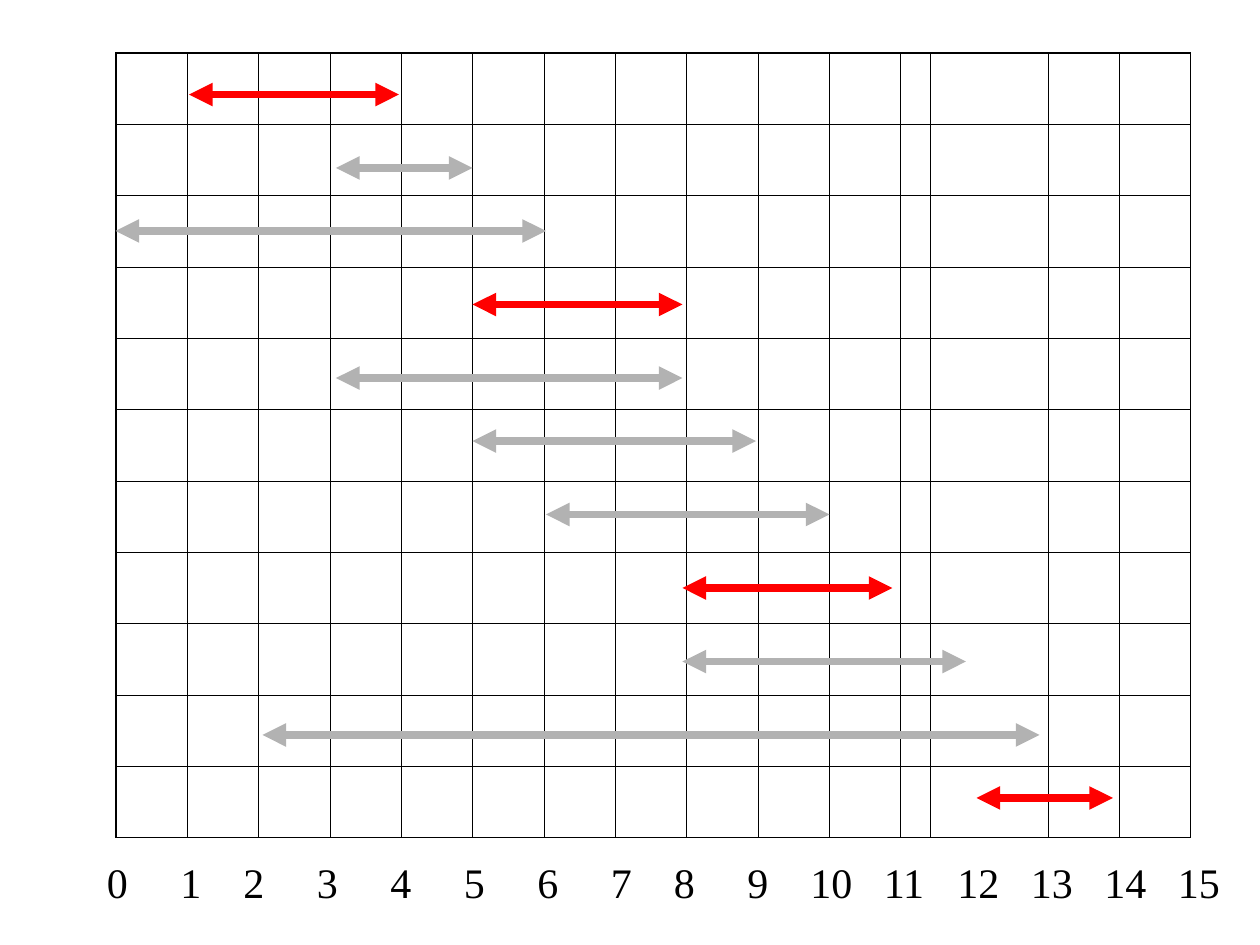
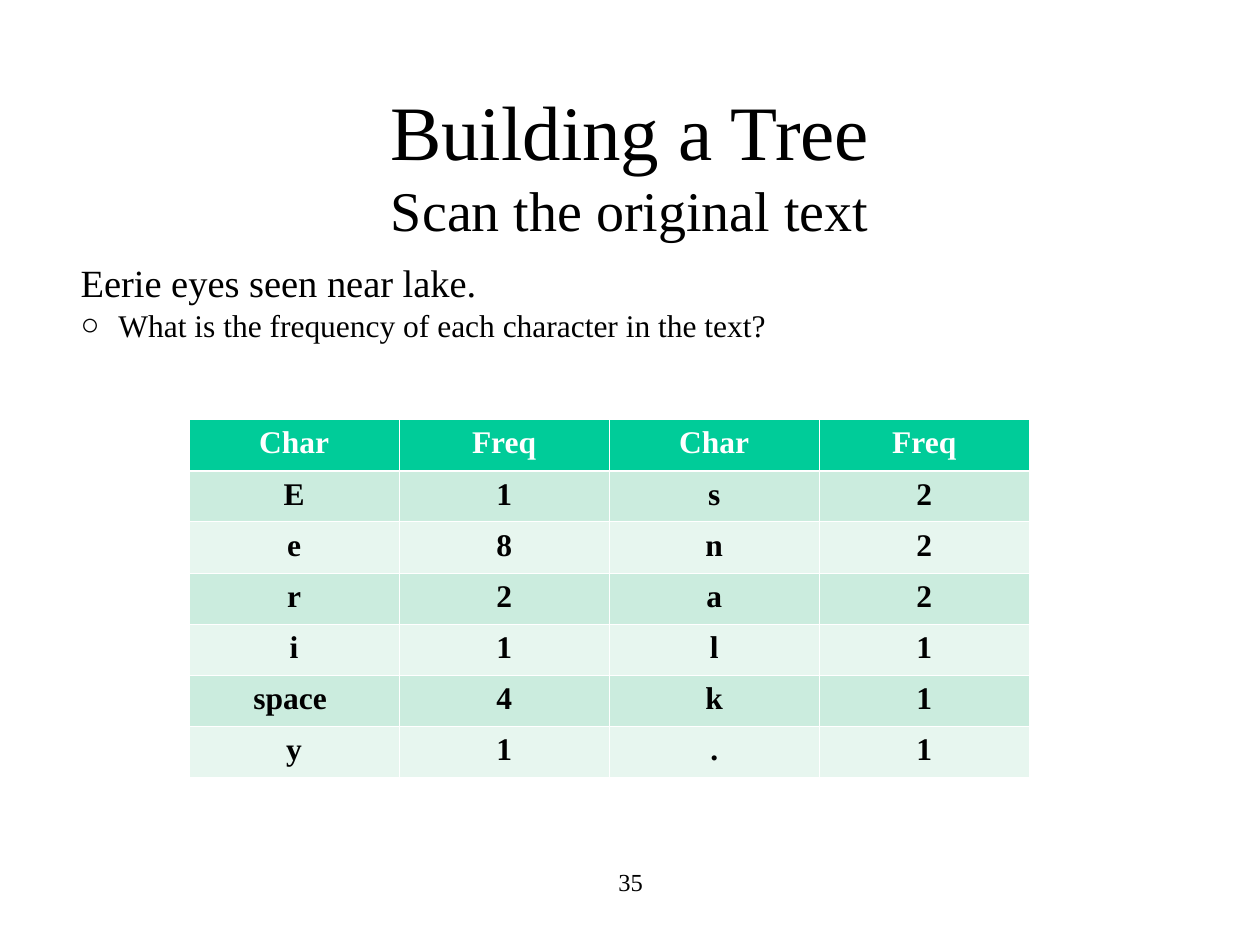
from itertools import accumulate
from lxml import etree
from pptx import Presentation, util as u
from pptx.dml.color import RGBColor
from pptx.enum import shapes, text
from pptx.oxml import ns

BLACK = RGBColor(0, 0, 0)
WHITE = RGBColor(255, 255, 255)
RED = RGBColor(255, 0, 0)
GRAY = RGBColor(0xB2, 0xB2, 0xB2)
GREEN = RGBColor(0, 0xCC, 0x99)
MINT = RGBColor(0xCB, 0xEC, 0xDE)
PALE = RGBColor(0xE7, 0xF6, 0xEF)
FACE = "Times New Roman"

UNIT = 1 / 12
SPANS = [
    (18, 38, 9, RED), (32, 45, 16, GRAY), (11, 52, 22, GRAY),
    (45, 65, 29, RED), (32, 65, 36, GRAY), (45, 72, 42, GRAY),
    (52, 79, 49, GRAY), (65, 85, 56, RED), (65, 92, 63, GRAY),
    (25, 99, 70, GRAY), (93, 106, 76, RED),
]
TICKS = range(16)
TIGHT = {2, 8, 10}
GRID = (0.92, 0.42, 8.53, 6.23)
ROWS, COLS = 11, 15
ODD = {11: 0.24, 12: 0.93}

TITLE = [("Building a Tree", 44), ("Scan the original text", 32)]
BODY = [("Eerie eyes seen near lake.", 22, 5.5, None),
        ("What is the frequency of each character in the text?", 18, 4.5, "○")]
PAGE = "35"
FREQ = [
    ("Char", "Freq", "Char", "Freq"),
    ("E", "1", "s", "2"),
    ("e", "8", "n", "2"),
    ("r", "2", "a", "2"),
    ("i", "1", "l", "1"),
    ("space ", "4", "k", "1"),
    ("y", "1", ".", "1"),
]
CHART = (1.5, 3.33, 6.67, 2.84)


def put(obj, **vals):
    for key, val in vals.items():
        setattr(obj, key, val)


def node(top, tag, **vals):
    return etree.SubElement(top, ns.qn(tag), {k: str(v) for k, v in vals.items()})


def place(shape, box):
    put(shape, **dict(zip(("left", "top", "width", "height"), map(u.Inches, box))))


def write(para, words, size, color=BLACK, bold=False):
    run = para.add_run()
    run.text = words
    put(run.font, name=FACE, size=u.Pt(size), bold=bold)
    run.font.color.rgb = color


def label(slide, box):
    frame = slide.shapes.add_textbox(*map(u.Inches, box)).text_frame
    frame.word_wrap = True
    return frame


def edge(cell, color, widths):
    props = cell._tc.get_or_add_tcPr()
    for spot, (side, width) in enumerate(zip("LRTB", widths)):
        line = node(props, f"a:ln{side}", w=u.Pt(width))
        node(node(line, "a:solidFill"), "a:srgbClr", val=color)
        props.insert(spot, line)


def table(slide, rows, wide, box):
    grid = slide.shapes.add_table(rows, len(wide), *map(u.Inches, box)).table
    put(grid, first_row=False, horz_banding=False)
    for col, width in zip(grid.columns, wide):
        col.width = u.Inches(width)
    for row in grid.rows:
        row.height = u.Inches(box[3] / rows)
    return grid


def arrow(slide, start, end, level, color):
    ends = (u.Inches(n * UNIT) for n in (start, level, end, level))
    link = slide.shapes.add_connector(shapes.MSO_CONNECTOR.STRAIGHT, *ends)
    link.line.width = u.Pt(4.5)
    link.line.color.rgb = color
    line = link.line._get_or_add_ln()
    for tag in ("a:headEnd", "a:tailEnd"):
        node(line, tag, type="triangle")
    node(link._element.spPr, "a:effectLst")


def schedule(slide):
    plain = (GRID[2] - sum(ODD.values())) / (COLS - len(ODD))
    grid = table(slide, ROWS, [ODD.get(c, plain) for c in range(COLS)], GRID)
    for r in range(ROWS):
        for c in range(COLS):
            cell = grid.cell(r, c)
            cell.fill.background()
            outer = (c == 0, c == COLS - 1, r == 0, r == ROWS - 1)
            edge(cell, BLACK, [1.08 if side else 0.45 for side in outer])
    for span in SPANS:
        arrow(slide, *span)
    frame = label(slide, (0.75, 6.75, 9.03, 0.5))
    frame.margin_right = 0
    para = frame.paragraphs[0]
    write(para, "\t".join(map(str, TICKS)), 24)
    tabs = node(para._p.get_or_add_pPr(), "a:tabLst")
    for stop in accumulate(6 if n in TIGHT else 7 for n in TICKS[1:]):
        node(tabs, "a:tab", pos=u.Inches(stop * UNIT), algn="l")


def tree(slide):
    head, body = slide.shapes.title, slide.placeholders[1]
    place(head, (0.75, 0.67, 8.5, 1.25))
    place(body, (0.54, 2.08, 9.19, 0.75))
    for shape in (head, body):
        shape.text_frame.auto_size = text.MSO_AUTO_SIZE.NONE
    head.text_frame.vertical_anchor = text.MSO_ANCHOR.MIDDLE
    para = head.text_frame.paragraphs[0]
    para.alignment = text.PP_ALIGN.CENTER
    for n, (words, size) in enumerate(TITLE):
        if n:
            para.add_line_break()
        write(para, words, size)

    frame = body.text_frame
    for n, (words, size, gap, mark) in enumerate(BODY):
        para = frame.add_paragraph() if n else frame.paragraphs[0]
        put(para, line_spacing=0.8, space_before=u.Pt(gap))
        props = para._p.get_or_add_pPr()
        props.set("marL", str(u.Inches(0.3)))
        props.set("indent", str(u.Inches(-0.3)))
        if mark:
            node(node(props, "a:buClr"), "a:srgbClr", val=BLACK)
            node(props, "a:buChar", char=mark)
        else:
            node(props, "a:buNone")
        write(para, words, size)

    para = label(slide, (3.42, 6.83, 3.17, 0.5)).paragraphs[0]
    para.alignment = text.PP_ALIGN.CENTER
    write(para, PAGE, 14)

    count = len(FREQ[0])
    grid = table(slide, len(FREQ), [CHART[2] / count] * count, CHART)
    for r, row in enumerate(FREQ):
        for c, words in enumerate(row):
            cell = grid.cell(r, c)
            cell.fill.solid()
            cell.fill.fore_color.rgb = (MINT if r % 2 else PALE) if r else GREEN
            edge(cell, WHITE, (0.45, 0.45, 1.47 if r == 1 else 0.45, 0.45 if r else 1.47))
            para = cell.text_frame.paragraphs[0]
            para.alignment = text.PP_ALIGN.CENTER
            write(para, words, 18, BLACK if r else WHITE, True)


def main():
    deck = Presentation()
    put(deck, slide_width=u.Inches(10), slide_height=u.Inches(7.5))
    for layout, draw in ((6, schedule), (1, tree)):
        draw(deck.slides.add_slide(deck.slide_layouts[layout]))
    deck.save("out.pptx")


if __name__ == "__main__":
    main()
